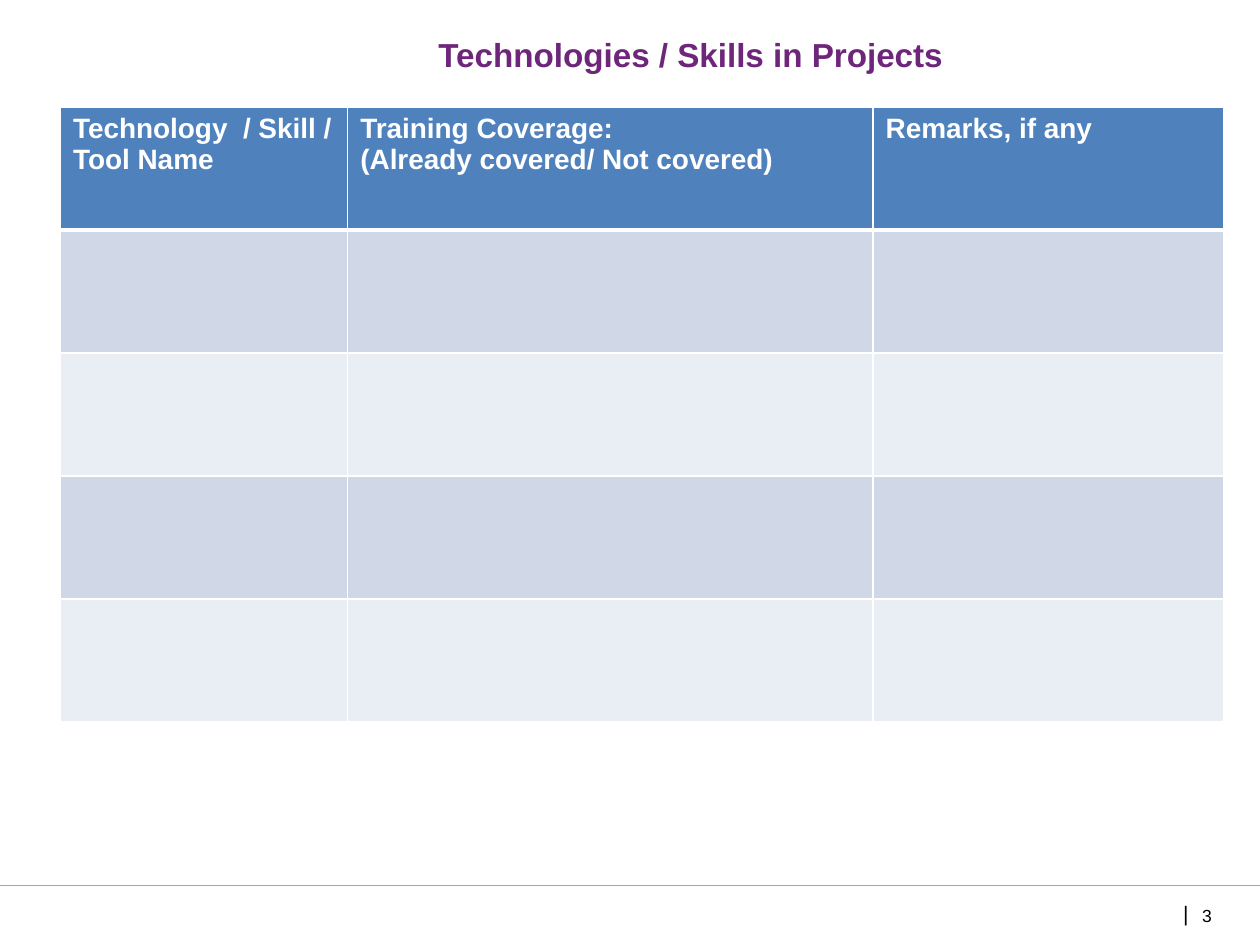
import pptx
import pptx.util
import pptx.dml.color
import pptx.enum.shapes
import pptx.enum.text
import pptx.oxml.ns
from lxml import etree

Inches = pptx.util.Inches
Pt = pptx.util.Pt
RGBColor = pptx.dml.color.RGBColor
Align = pptx.enum.text.PP_ALIGN
Anchor = pptx.enum.text.MSO_ANCHOR
qn = pptx.oxml.ns.qn

PURPLE = RGBColor(0x6E, 0x26, 0x7B)
BLUE = RGBColor(0x4F, 0x81, 0xBD)
BAND_DARK = RGBColor(0xD0, 0xD8, 0xE8)
BAND_LIGHT = RGBColor(0xE9, 0xED, 0xF4)
WHITE = RGBColor(0xFF, 0xFF, 0xFF)
BLACK = RGBColor(0, 0, 0)
GREY = RGBColor(0xA6, 0xA6, 0xA6)

HEADERS = [
    ["Technology  / Skill / Tool Name"],
    ["Training Coverage:", "(Already covered/ Not covered)"],
    ["Remarks, if any"],
]
COLUMN_WIDTHS = [2.28, 4.17, 2.78]
ROW_COUNT = 5


def add_run(paragraph, text, size, color, bold=False):
    run = paragraph.add_run()
    run.text = text
    run.font.name = "Arial"
    run.font.size = Pt(size)
    run.font.bold = bold
    run.font.color.rgb = color


def prepare_frame(frame, anchor, wrap):
    frame.margin_left = frame.margin_right = 0
    frame.margin_top = frame.margin_bottom = 0
    frame.vertical_anchor = anchor
    frame.word_wrap = wrap


def set_border(cell, side, color, width):
    line = etree.SubElement(cell._tc.get_or_add_tcPr(), qn("a:ln" + side), w=str(Pt(width)))
    fill = etree.SubElement(line, qn("a:solidFill"))
    etree.SubElement(fill, qn("a:srgbClr"), val=str(color))


def place_title(slide, left, top, width, height):
    title = slide.shapes.title
    title.left, title.top = Inches(left), Inches(top)
    title.width, title.height = Inches(width), Inches(height)
    prepare_frame(title.text_frame, Anchor.TOP, True)
    paragraph = title.text_frame.paragraphs[0]
    paragraph.alignment = Align.LEFT
    properties = paragraph._p.get_or_add_pPr()
    properties.set("marL", str(Inches(3)))
    properties.set("indent", "0")
    add_run(paragraph, "Technologies / Skills in Projects", 19, PURPLE, True)


def add_skills_table(slide, left, top, width, height):
    frame = slide.shapes.add_table(ROW_COUNT, len(HEADERS), Inches(left), Inches(top),
                                   Inches(width), Inches(height))
    table = frame.table
    for column, column_width in zip(table.columns, COLUMN_WIDTHS):
        column.width = Inches(column_width)
    for row_index, row in enumerate(table.rows):
        row.height = Inches(height / ROW_COUNT)
        is_header = row_index == 0
        band = BLUE if is_header else (BAND_LIGHT, BAND_DARK)[row_index % 2]
        for cell in row.cells:
            for side in "LRTB":
                heavy = (is_header and side == "B") or (row_index == 1 and side == "T")
                set_border(cell, side, WHITE, 3 if heavy else 1)
            cell.fill.solid()
            cell.fill.fore_color.rgb = band
    for cell, lines in zip(table.rows[0].cells, HEADERS):
        for index, text in enumerate(lines):
            frame = cell.text_frame
            paragraph = frame.add_paragraph() if index else frame.paragraphs[0]
            add_run(paragraph, text, 16, WHITE, True)


def add_footer(slide, left, top, width):
    rule = slide.shapes.add_connector(pptx.enum.shapes.MSO_CONNECTOR.STRAIGHT, Inches(left),
                                      Inches(top), Inches(left + width), Inches(top))
    rule.line.color.rgb = GREY
    rule.line.width = Pt(0.75)
    etree.SubElement(rule._element.spPr, qn("a:effectLst"))
    labels = [
        ("|", 9.39, 0.12, 0.04, 0.2, 12, Align.RIGHT),
        ("3", 9.54, 0.15, 0.23, 0.17, 10, Align.LEFT),
    ]
    for text, x, y, label_width, label_height, size, alignment in labels:
        label = slide.shapes.add_textbox(Inches(left + x), Inches(top + y),
                                         Inches(label_width), Inches(label_height))
        prepare_frame(label.text_frame, Anchor.MIDDLE, False)
        paragraph = label.text_frame.paragraphs[0]
        paragraph.alignment = alignment
        add_run(paragraph, text, size, BLACK)


def build_slide(presentation):
    slide = presentation.slides.add_slide(presentation.slide_layouts[5])
    add_footer(slide, 0, 7.03, 10)
    place_title(slide, 0.48, 0.27, 9.35, 0.32)
    add_skills_table(slide, 0.48, 0.85, 9.23, 4.88)


presentation = pptx.Presentation()
presentation.slide_width = Inches(10)
presentation.slide_height = Inches(7.5)
build_slide(presentation)
presentation.save("out.pptx")
